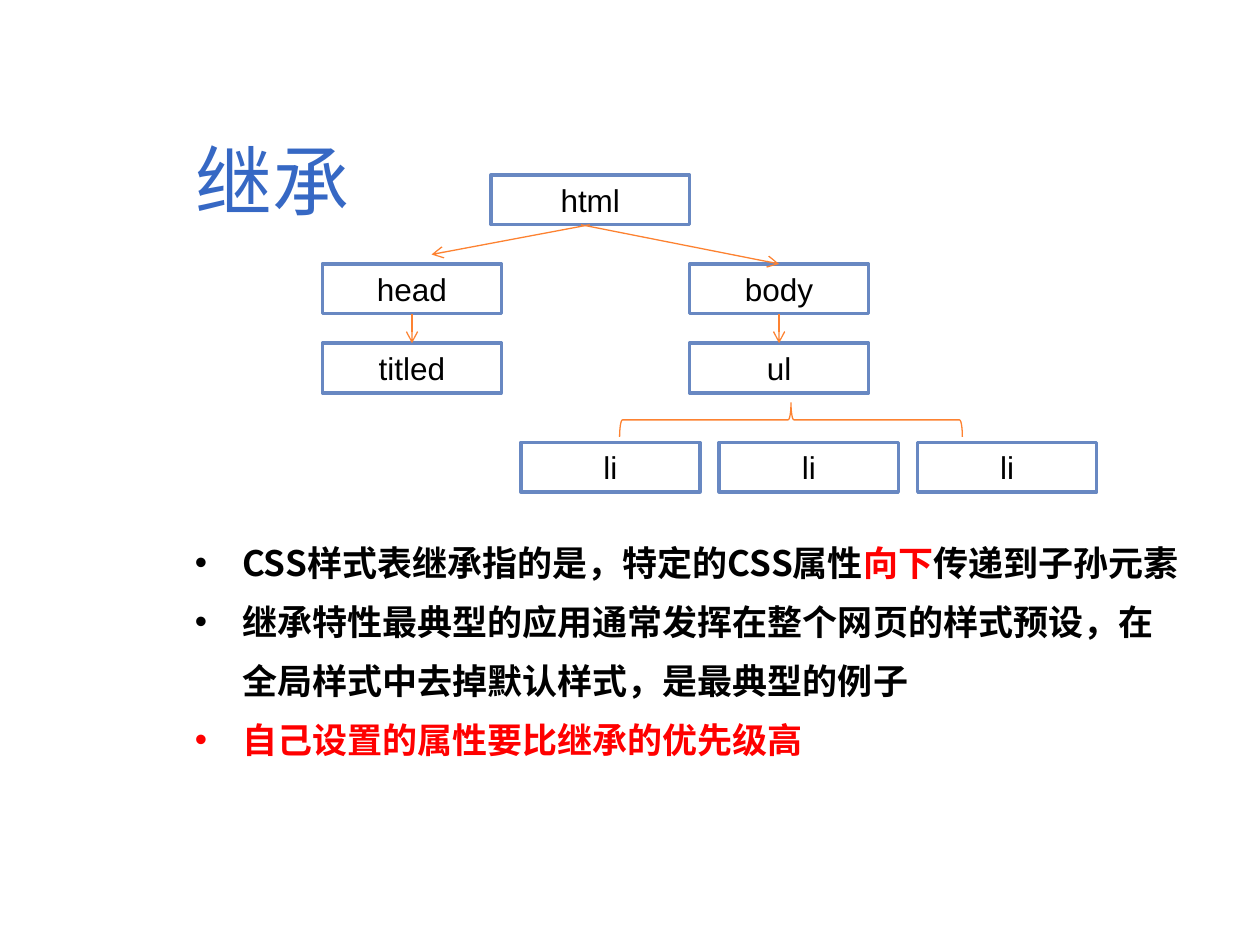
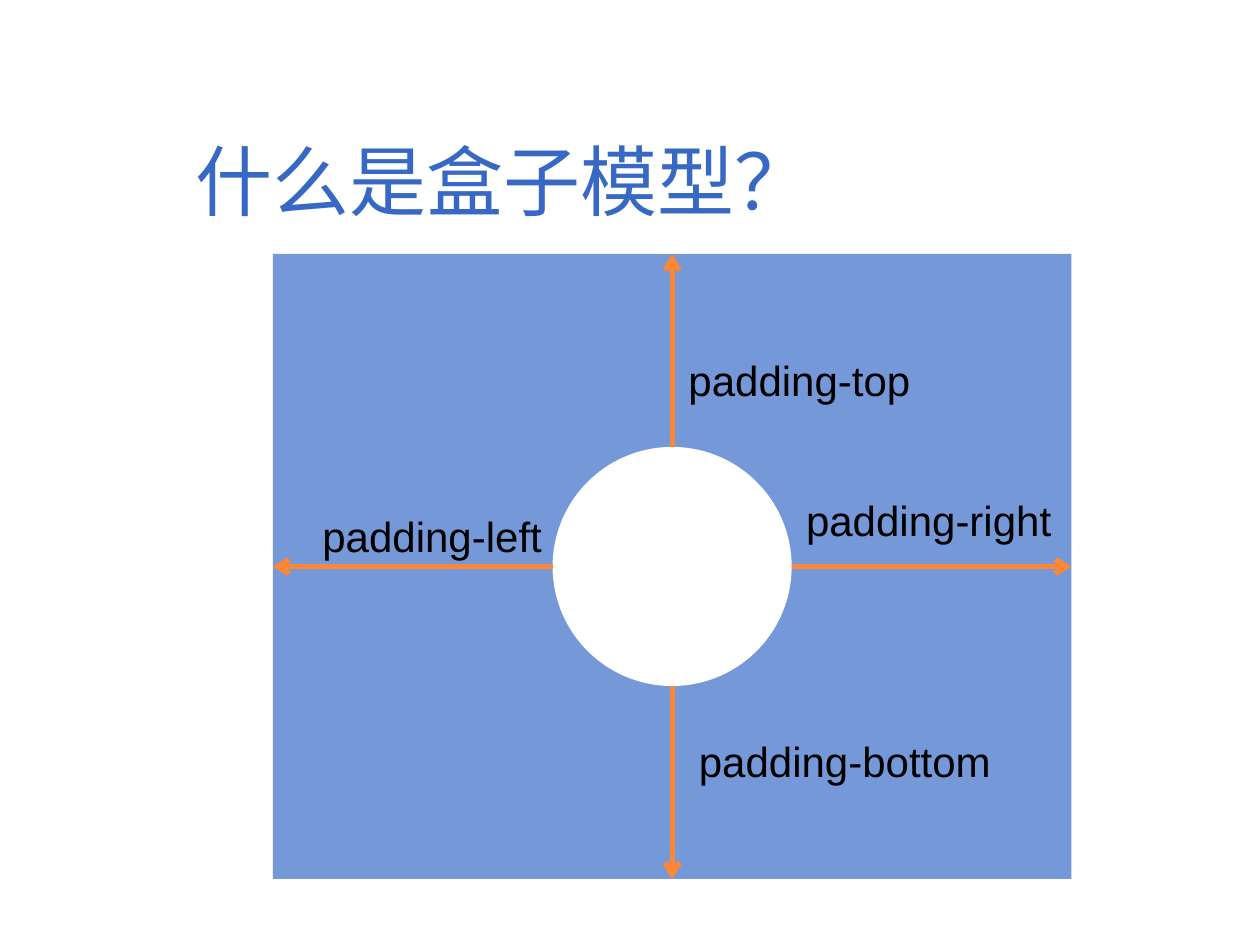
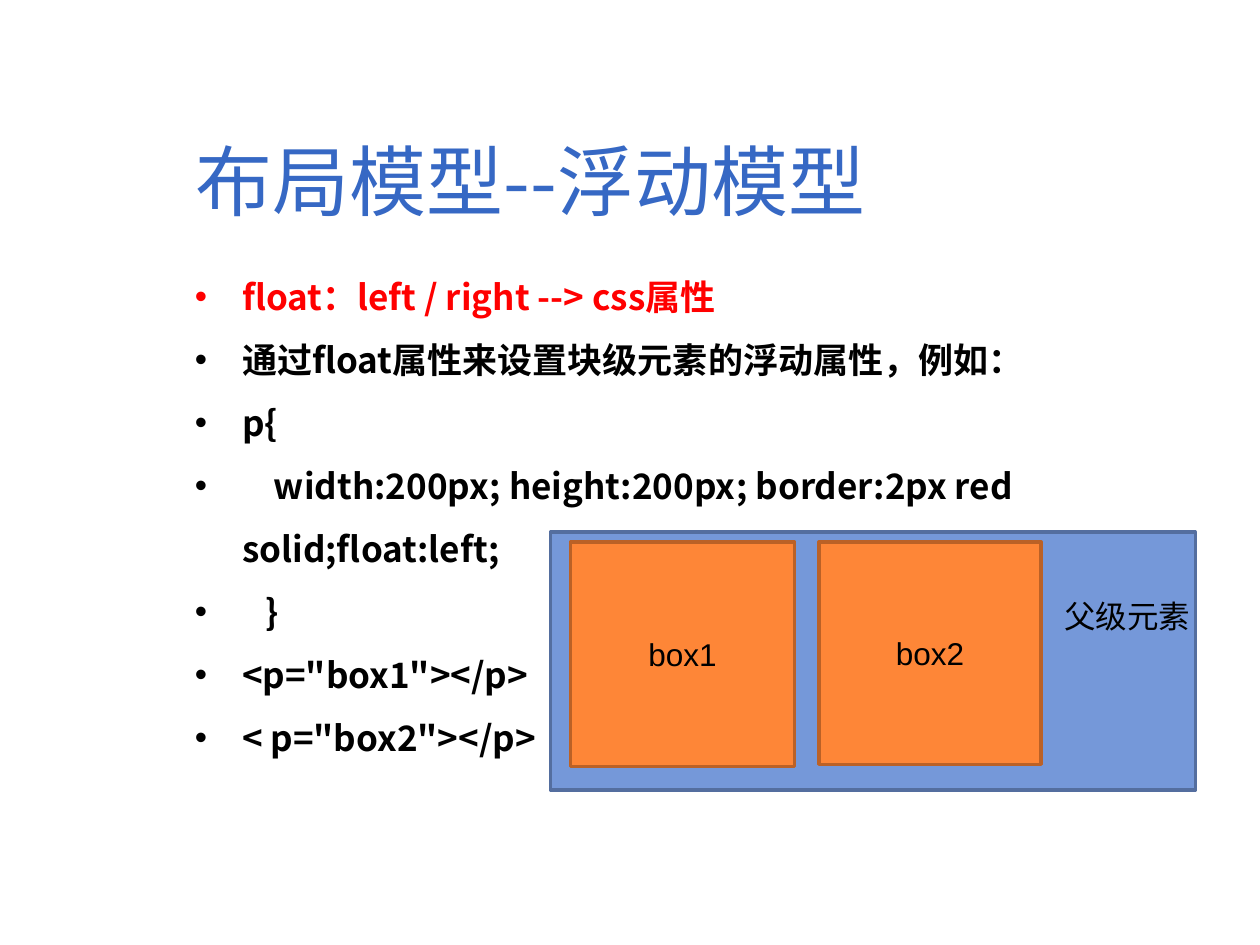
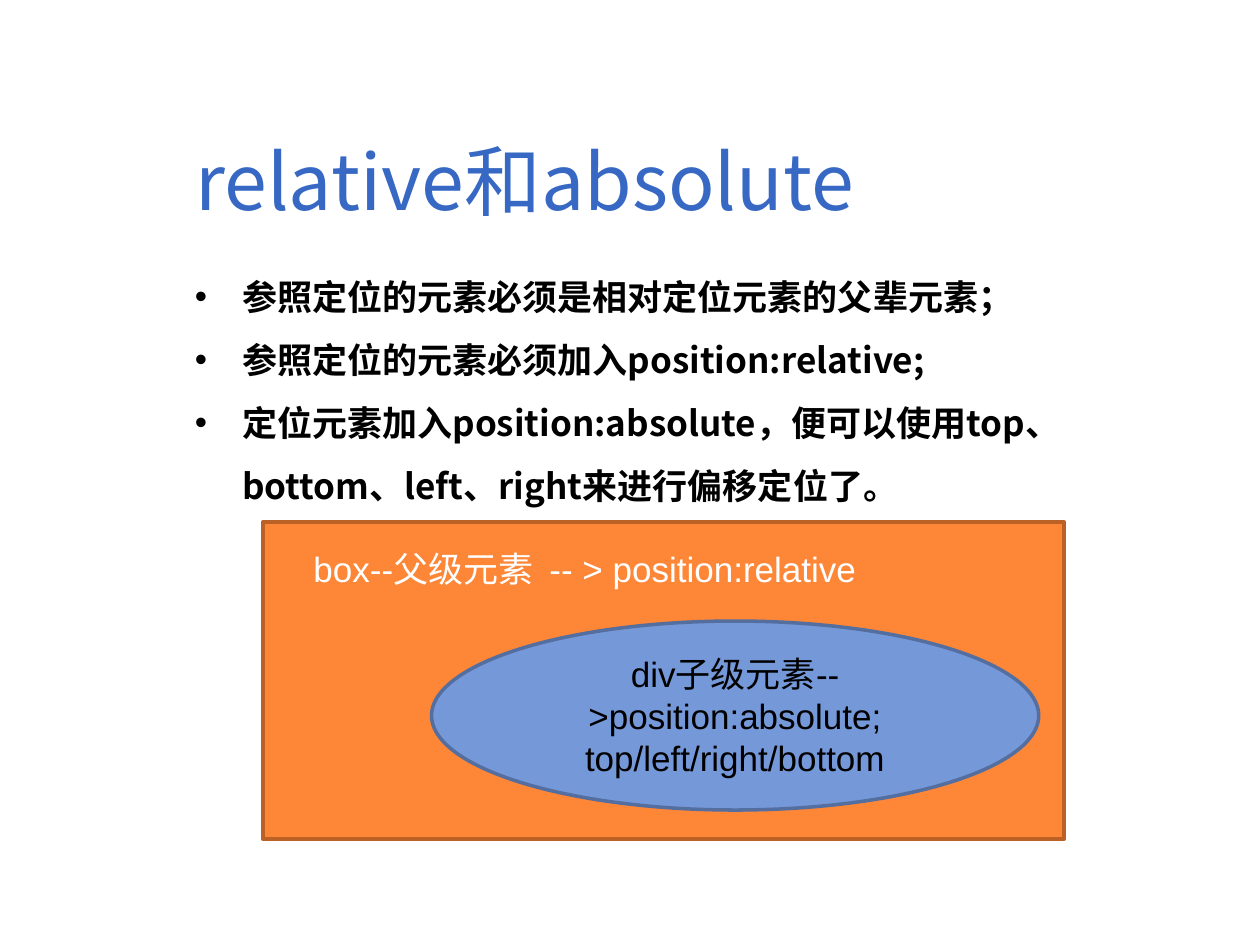
"""Build four CSS teaching slides on inheritance, the box model, floats and positioning."""
from lxml import etree
from pptx import Presentation
from pptx.dml.color import RGBColor
from pptx.enum import shapes, text
from pptx.oxml.ns import qn
from pptx.util import Cm, Pt

BLACK = RGBColor(0x00, 0x00, 0x00)
WHITE = RGBColor(0xFF, 0xFF, 0xFF)
RED = RGBColor(0xFF, 0x00, 0x00)
TITLE_BLUE = RGBColor(0x36, 0x68, 0xC4)
NODE_BLUE = RGBColor(0x68, 0x88, 0xC2)
TREE_ORANGE = RGBColor(0xFD, 0x82, 0x31)
BLUE = RGBColor(0x75, 0x98, 0xD9)
DARK_BLUE = RGBColor(0x54, 0x6E, 0x9F)
ORANGE = RGBColor(0xFE, 0x86, 0x37)
DARK_ORANGE = RGBColor(0xBB, 0x61, 0x26)
LATIN_FONT = "Arial"
CHINESE_FONT = "Noto Sans CJK SC"
RECTANGLE = shapes.MSO_SHAPE.RECTANGLE
OVAL = shapes.MSO_SHAPE.OVAL


def format_run(run, size, color, font=LATIN_FONT, bold=False):
    run.font.size = Pt(size)
    run.font.bold = bold
    run.font.color.rgb = color
    run.font.name = font
    properties = run._r.get_or_add_rPr()
    etree.SubElement(properties, qn("a:ea"), typeface=CHINESE_FONT)


def add_box(slide, kind, bounds, words="", size=18, color=BLACK, font=LATIN_FONT,
            fill=None, line=None, line_width=2, wrap=True):
    lengths = [Cm(value) for value in bounds]
    if kind is None:
        shape = slide.shapes.add_textbox(*lengths)
    else:
        shape = slide.shapes.add_shape(kind, *lengths)
        shape.shadow.inherit = False
    if fill is None:
        shape.fill.background()
    else:
        shape.fill.solid()
        shape.fill.fore_color.rgb = fill
    if line is None:
        shape.line.fill.background()
    else:
        shape.line.color.rgb = line
        shape.line.width = Pt(line_width)
    frame = shape.text_frame
    frame.text = words
    frame.word_wrap = wrap
    if not wrap:
        frame.auto_size = text.MSO_AUTO_SIZE.SHAPE_TO_FIT_TEXT
    for paragraph in frame.paragraphs:
        if kind is not None:
            paragraph.alignment = text.PP_ALIGN.CENTER
        for run in paragraph.runs:
            format_run(run, size, color, font)
    return shape


presentation = Presentation()
presentation.slide_width = Cm(25.4)
presentation.slide_height = Cm(19.05)

titles = ["继承", "什么是盒子模型？", "布局模型--浮动模型", "relative和absolute"]
slides = []
for title in titles:
    slide = presentation.slides.add_slide(presentation.slide_layouts[6])
    title_box = add_box(slide, None, (3.69, 2.51, 20.4, 2.24), title, 44, TITLE_BLUE, CHINESE_FONT)
    title_box.text_frame.vertical_anchor = text.MSO_ANCHOR.MIDDLE
    slides.append(slide)
inheritance, box_model, float_model, positioning = slides

bullet_lists = [
    (inheritance, 10.46, 6.58, 1.4, [
        [("CSS样式表继承指的是，特定的CSS属性", BLACK), ("向下", RED), ("传递到子孙元素", BLACK)],
        [("继承特性最典型的应用通常发挥在整个网页的样式预设，在全局样式中去掉默认样式，是最典型的例子", BLACK)],
        [("自己设置的属性要比继承的优先级高", RED)],
    ]),
    (float_model, 5, 12.01, 1.5, [
        [("float：left / right --> css属性", RED)],
        [("通过float属性来设置块级元素的浮动属性，例如：", BLACK)],
        [("p{", BLACK)],
        [("    width:200px; height:200px; border:2px red solid;float:left;", BLACK)],
        [("   }", BLACK)],
        [('<p="box1"></p>', BLACK)],
        [('< p="box2"></p>', BLACK)],
    ]),
    (positioning, 5, 12.01, 1.5, [
        [("参照定位的元素必须是相对定位元素的父辈元素；", BLACK)],
        [("参照定位的元素必须加入position:relative;", BLACK)],
        [("定位元素加入position:absolute，便可以使用top、bottom、left、right来进行偏移定位了。", BLACK)],
    ]),
]
for slide, top, height, spacing, bullets in bullet_lists:
    frame = add_box(slide, None, (3.68, top, 20.45, height)).text_frame
    for index, pieces in enumerate(bullets):
        paragraph = frame.add_paragraph() if index else frame.paragraphs[0]
        paragraph.line_spacing = spacing
        properties = paragraph._p.get_or_add_pPr()
        properties.set("marL", str(Cm(0.95)))
        properties.set("indent", str(-Cm(0.95)))
        bullet_color = etree.SubElement(properties, qn("a:buClr"))
        etree.SubElement(bullet_color, qn("a:srgbClr"), val=str(pieces[0][1]))
        etree.SubElement(properties, qn("a:buFont"), typeface=LATIN_FONT)
        etree.SubElement(properties, qn("a:buChar"), char="•")
        for words, color in pieces:
            run = paragraph.add_run()
            run.text = words
            format_run(run, 20, color, CHINESE_FONT, bold=True)

node_width, node_height = 3.61, 1
head_left, body_left = 6.5, 13.9
second_row, third_row, item_row = 5.32, 6.92, 8.92
nodes = [
    ("html", 9.9, 3.53, 4),
    ("head", head_left, second_row, node_width),
    ("titled", head_left, third_row, node_width),
    ("body", body_left, second_row, node_width),
    ("ul", body_left, third_row, node_width),
]
nodes += [("li", 10.5 + 4 * column, item_row, node_width) for column in range(3)]
for name, left, top, width in nodes:
    add_box(inheritance, RECTANGLE, (left, top, width, node_height), name, fill=WHITE, line=NODE_BLUE)
brace = add_box(inheritance, shapes.MSO_SHAPE.LEFT_BRACE, (15.6, 5.01, 0.69, 6.91),
                line=TREE_ORANGE, line_width=0.75)
brace.rotation = 90

area_left, area_top, area_width, area_height = 5.5, 5.12, 16.1, 12.6
area_right, area_bottom = area_left + area_width, area_top + area_height
center_x, center_y = area_left + area_width / 2, area_top + area_height / 2
radius = 2.41
add_box(box_model, RECTANGLE, (area_left, area_top, area_width, area_height), fill=BLUE)
add_box(box_model, OVAL, (center_x - radius, center_y - radius, 2 * radius, 2 * radius), fill=WHITE)

html_bottom = 4.53
head_center, body_center = head_left + node_width / 2, body_left + node_width / 2
tree_arrows = [(11.89, html_bottom, 8.7, 5.13), (11.71, html_bottom, body_center, second_row)]
tree_arrows += [(x, second_row + node_height, x, third_row) for x in (head_center, body_center)]
padding_arrows = [
    (center_x + radius, center_y, area_right, center_y),
    (center_x - radius, center_y, area_left, center_y),
    (center_x, center_y - radius, center_x, area_top),
    (center_x, center_y + radius, center_x, area_bottom),
]
for slide, arrows, color, width in [(inheritance, tree_arrows, TREE_ORANGE, 0.75),
                                    (box_model, padding_arrows, ORANGE, 3)]:
    for ends in arrows:
        arrow = slide.shapes.add_connector(shapes.MSO_CONNECTOR.STRAIGHT, *[Cm(value) for value in ends])
        arrow.line.color.rgb = color
        arrow.line.width = Pt(width)
        properties = arrow.element.spPr
        etree.SubElement(properties.find(qn("a:ln")), qn("a:tailEnd"), type="arrow")
        etree.SubElement(properties, qn("a:effectLst"))

padding_labels = [
    ("right", 16, 9.84, 5.55, BLUE),
    ("top", 13.63, 7.03, 5.05, None),
    ("left", 6.25, 10.16, 5, None),
    ("bottom", 13.84, 14.71, 6.5, None),
]
for side, left, top, width, fill in padding_labels:
    add_box(box_model, None, (left, top, width, 1.27), f"padding-{side}", 24, fill=fill, wrap=False)

add_box(float_model, RECTANGLE, (11.1, 10.73, 13, 5.2), fill=BLUE, line=DARK_BLUE)
for name, left, side in [("box1", 11.5, 4.52), ("box2", 16.51, 4.48)]:
    add_box(float_model, RECTANGLE, (left, 10.93, side, side), name, fill=ORANGE, line=DARK_ORANGE)
add_box(float_model, None, (21.2, 11.91, 3.05, 1.02), "父级元素", wrap=False)

add_box(positioning, RECTANGLE, (5.3, 10.52, 16.15, 6.4), fill=ORANGE, line=DARK_ORANGE)
add_box(positioning, None, (6.07, 10.92, 11.79, 1.12), "box--父级元素  -- > position:relative",
        20, WHITE, wrap=False)
add_box(positioning, OVAL, (8.7, 12.52, 12.24, 3.81),
        "div子级元素-->position:absolute;\ntop/left/right/bottom", 20, fill=BLUE, line=DARK_BLUE)

presentation.save("out.pptx")
